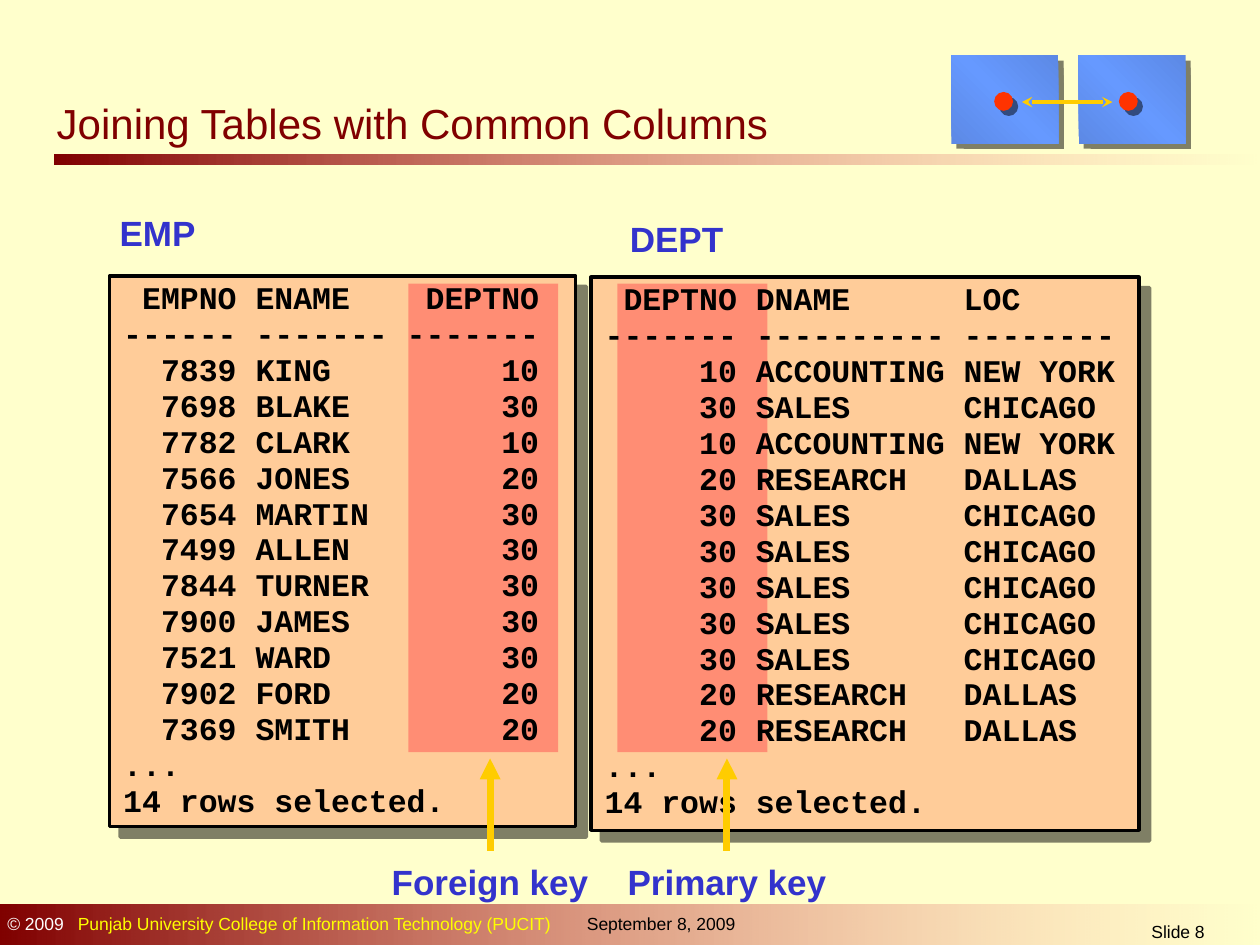
from lxml.etree import SubElement
from pptx import Presentation
from pptx.dml.color import RGBColor
from pptx.enum.shapes import MSO_CONNECTOR as Connector, MSO_SHAPE as Shape
from pptx.enum.text import MSO_ANCHOR as Anchor, PP_ALIGN as Align
from pptx.oxml.ns import qn
from pptx.util import Inches, Pt

COLORS = {
    "cream": "FFFFCC", "maroon": "800000", "pink": "FF8585", "peach": "FFCC99",
    "black": "000000", "white": "FFFFFF", "yellow": "FFFF00", "label": "3333CC",
    "key": "FF5050", "gold": "FFCC00", "blue": "6699FF", "steel": "5C89E5", "red": "FF3300",
}
MAROON_FADE = [(0, "maroon", 100), (100, "pink", 0)]
BLUE_SHEEN = [(0, "steel", 100), (50, "blue", 100), (100, "steel", 100)]

EMP_COLUMNS = "{:>6} {:<7} {:>7}"
EMP_HEADINGS = ("EMPNO", "ENAME", "DEPTNO")
EMP_RULES = ("-" * 6, "-" * 7, "-" * 7)
EMP_ROWS = [
    (7839, "KING", 10), (7698, "BLAKE", 30), (7782, "CLARK", 10), (7566, "JONES", 20),
    (7654, "MARTIN", 30), (7499, "ALLEN", 30), (7844, "TURNER", 30), (7900, "JAMES", 30),
    (7521, "WARD", 30), (7902, "FORD", 20), (7369, "SMITH", 20),
]
DEPT_COLUMNS = "{:>7} {:<10} {:<8}"
DEPT_HEADINGS = ("DEPTNO", "DNAME", "LOC")
DEPT_RULES = ("-" * 7, "-" * 10, "-" * 8)
DEPARTMENTS = {
    10: ("ACCOUNTING", "NEW YORK"), 20: ("RESEARCH", "DALLAS"), 30: ("SALES", "CHICAGO"),
}
DEPT_ORDER = [10, 30, 10, 20, 30, 30, 30, 30, 30, 20, 20]


def rgb(name):
    """Return the named colour."""
    return RGBColor.from_string(COLORS[name])


def add_color(parent, name, alpha):
    """Append a colour with an opacity in percent to an XML element."""
    color = SubElement(parent, qn("a:srgbClr"), val=COLORS[name])
    SubElement(color, qn("a:alpha"), val=str(alpha * 1000))


def set_gradient(shape, stops, angle):
    """Replace the solid fill of a shape with a linear gradient."""
    solid = shape.fill._xPr.find(qn("a:solidFill"))
    gradient = solid.makeelement(qn("a:gradFill"), {"rotWithShape": "1"})
    stop_list = SubElement(gradient, qn("a:gsLst"))
    for position, name, alpha in stops:
        add_color(SubElement(stop_list, qn("a:gs"), pos=str(position * 1000)), name, alpha)
    SubElement(gradient, qn("a:lin"), ang=str(angle * 60000), scaled="0")
    solid.getparent().replace(solid, gradient)


def add_block(slide, box, fill, kind=Shape.RECTANGLE, alpha=100, line=None,
              stops=None, angle=0, shadow=0):
    """Add a filled shape with optional outline, gradient and diagonal shadow."""
    block = slide.shapes.add_shape(kind, *map(Inches, box))
    block.shadow.inherit = False
    block.fill.solid()
    block.fill.fore_color.rgb = rgb(fill)
    properties = block._element.spPr
    if alpha < 100:
        color = properties.find(qn("a:solidFill")).find(qn("a:srgbClr"))
        SubElement(color, qn("a:alpha"), val=str(alpha * 1000))
    if stops:
        set_gradient(block, stops, angle)
    if line:
        block.line.color.rgb = rgb(line)
        block.line.width = Pt(2)
    else:
        block.line.fill.background()
    if shadow:
        outer = SubElement(properties.find(qn("a:effectLst")), qn("a:outerShdw"),
                           dist=str(Pt(shadow)), dir=str(45 * 60000),
                           algn="ctr", rotWithShape="0")
        add_color(outer, "black", 50)
    return block


def write_text(holder, lines, font="Arial", size=20, color="label", bold=False,
               align=Align.LEFT, spacing=None, tab=None, wrap=True, anchor=Anchor.TOP):
    """Fill a text holder with lines, each a string or a list of (text, colour) runs."""
    frame = holder.text_frame
    frame.word_wrap = wrap
    frame.vertical_anchor = anchor
    for index, line in enumerate(lines):
        paragraph = frame.add_paragraph() if index else frame.paragraphs[0]
        paragraph.alignment = align
        if spacing:
            paragraph.line_spacing = spacing
        if tab:
            tabs = SubElement(paragraph._p.get_or_add_pPr(), qn("a:tabLst"))
            SubElement(tabs, qn("a:tab"), pos=str(Inches(tab)), algn="l")
        for text, run_color in [(line, color)] if isinstance(line, str) else line:
            run = paragraph.add_run()
            run.text = text
            run.font.name = font
            run.font.size = Pt(size)
            run.font.bold = bold
            run.font.color.rgb = rgb(run_color)


def add_label(slide, box, lines, **text_format):
    """Add a text box and return it."""
    label = slide.shapes.add_textbox(*map(Inches, box))
    write_text(label, lines, **text_format)
    return label


def add_arrow(slide, start, end, width, tail, head=None):
    """Add a gold straight arrow."""
    arrow = slide.shapes.add_connector(Connector.STRAIGHT, *map(Inches, (*start, *end)))
    arrow.line.color.rgb = rgb("gold")
    arrow.line.width = Pt(width)
    outline = arrow.line._get_or_add_ln()
    if head:
        SubElement(outline, qn("a:headEnd"), type=head)
    SubElement(outline, qn("a:tailEnd"), type=tail)
    SubElement(arrow._element.spPr, qn("a:effectLst"))
    return arrow


def add_key_pointer(slide, box, name):
    """Add a key label with an arrow rising from its top."""
    label = add_label(slide, box, [name], bold=True, align=Align.CENTER,
                      spacing=1.1, wrap=False)
    center = box[0] + box[2] / 2
    arrow = add_arrow(slide, (center, box[1]), (center, 6.02), 4, "triangle")
    arrow.begin_connect(label, 0)


def add_listing(slide, box, columns, rows):
    """Add query output set in fixed-width columns."""
    lines = [columns.format(*row).rstrip() for row in rows]
    add_label(slide, box, lines + ["...", "14 rows selected."], font="Courier New",
              size=18, color="black", bold=True, spacing=0.95)


def add_join_icon(slide):
    """Add two linked tiles that stand for joined tables."""
    for left in (7.55, 8.56):
        add_block(slide, (left, 0.44, 0.85, 0.7), "blue", stops=BLUE_SHEEN,
                  angle=315, shadow=4.2)
    for left in (7.89, 8.88):
        add_block(slide, (left, 0.73, 0.15, 0.15), "red", kind=Shape.OVAL, shadow=4.2)
    add_arrow(slide, (8.11, 0.81), (8.83, 0.81), 2, "stealth", head="stealth")


def add_title(slide, text):
    """Place and format the title placeholder."""
    title = slide.shapes.title
    title.left, title.top, title.width, title.height = map(Inches, (0.35, 0.68, 7.12, 0.59))
    write_text(title, [text], size=24, color="maroon", anchor=Anchor.MIDDLE)


def add_frame(slide):
    """Add the title rule and the footer."""
    add_block(slide, (0.43, 1.23, 9.57, 0.08), "maroon", stops=MAROON_FADE)
    add_block(slide, (0, 7.18, 10, 0.32), "maroon", stops=MAROON_FADE)
    institute = "\tPunjab University College of Information Technology (PUCIT)"
    add_label(slide, (-0.04, 7.2, 4.6, 0.27), [[("© 2009", "white"), (institute, "yellow")]],
              size=10, tab=0.56)
    add_label(slide, (4.56, 7.2, 1.54, 0.27), ["September 8, 2009"], size=10, color="black")
    add_label(slide, (8.7, 7.26, 1.3, 0.24), ["Slide 8"], size=10, color="black",
              align=Align.CENTER)


def main():
    """Build and save the slide."""
    deck = Presentation()
    deck.slide_width, deck.slide_height = Inches(10), Inches(7.5)
    slide = deck.slides.add_slide(deck.slide_layouts[5])
    slide.background.fill.solid()
    slide.background.fill.fore_color.rgb = rgb("cream")
    add_frame(slide)
    for panel in ((0.87, 2.19, 3.7, 4.37), (4.69, 2.2, 4.35, 4.39)):
        add_block(slide, panel, "peach", line="black", shadow=8.5)
    add_title(slide, "Joining Tables with Common Columns")
    add_label(slide, (0.85, 1.63, 0.88, 0.43), ["EMP"], bold=True, wrap=False)
    add_label(slide, (4.9, 1.68, 0.94, 0.43), ["DEPT"], bold=True)
    for left in (3.24, 4.9):
        add_block(slide, (left, 2.25, 1.19, 3.72), "key", alpha=50)
    dept_rows = [(number, *DEPARTMENTS[number]) for number in DEPT_ORDER]
    add_listing(slide, (0.88, 2.18, 3.67, 4.38), EMP_COLUMNS,
                [EMP_HEADINGS, EMP_RULES, *EMP_ROWS])
    add_listing(slide, (4.7, 2.19, 4.32, 4.38), DEPT_COLUMNS,
                [DEPT_HEADINGS, DEPT_RULES, *dept_rows])
    add_key_pointer(slide, (3.01, 6.75, 1.76, 0.47), "Foreign key")
    add_key_pointer(slide, (4.88, 6.75, 1.78, 0.47), "Primary key")
    add_join_icon(slide)
    deck.save("out.pptx")


if __name__ == "__main__":
    main()
